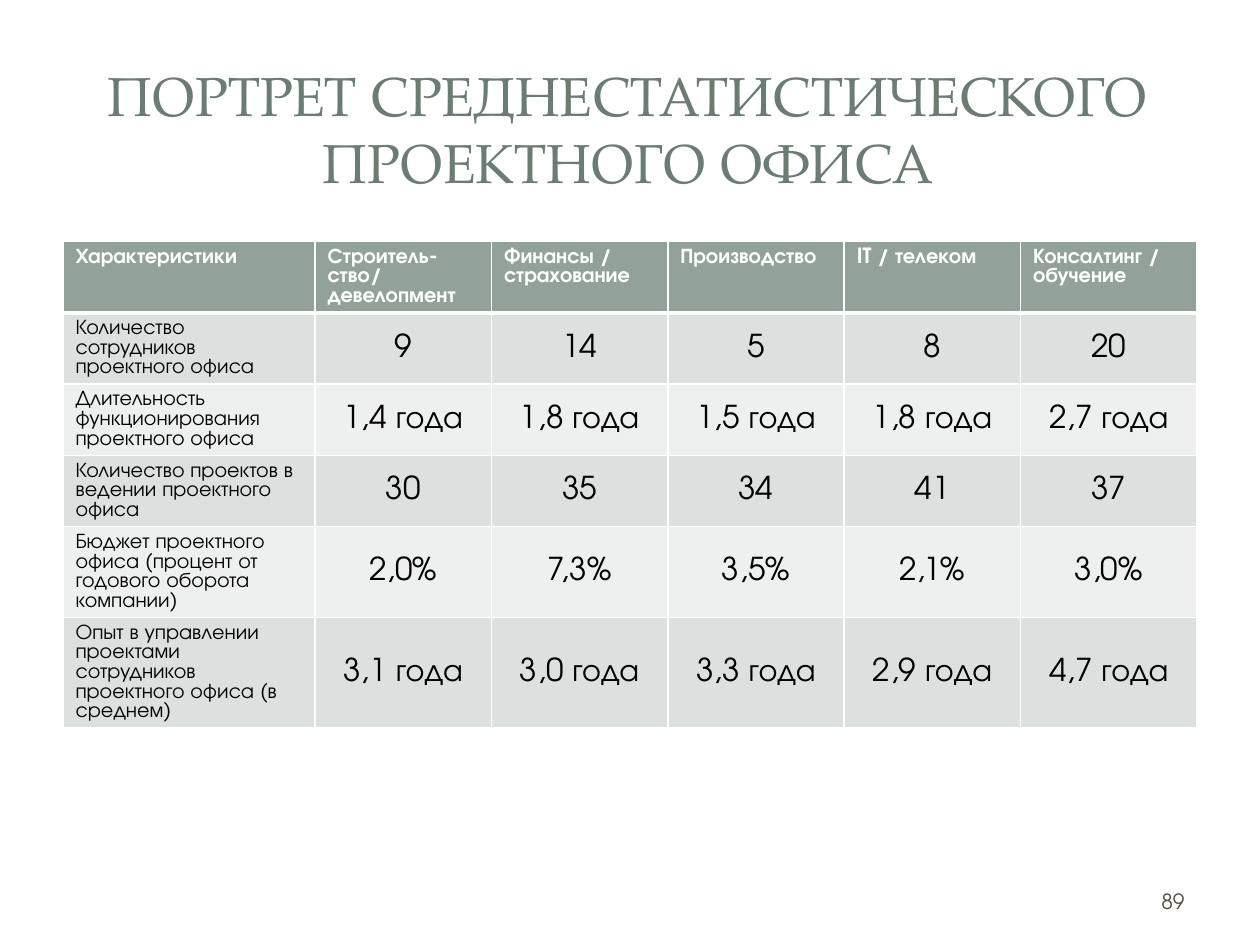
import pptx
import pptx.util
import pptx.dml.color
import pptx.enum.shapes
import pptx.enum.text
import pptx.oxml
import pptx.oxml.ns
from dataclasses import dataclass
from lxml import etree

Cm, Pt = pptx.util.Cm, pptx.util.Pt
Align = pptx.enum.text.PP_ALIGN
Anchor = pptx.enum.text.MSO_ANCHOR
Shape = pptx.enum.shapes.MSO_SHAPE


@dataclass(frozen=True)
class Theme:
    serif: str = "TeX Gyre Pagella"
    sans: str = "TeX Gyre Adventor"
    title: str = "6B7D72"
    head: str = "93A299"
    bands: tuple = ("DCE0DE", "EEF0EF")
    white: str = "FFFFFF"
    ink: str = "000000"
    brown: str = "564B3C"
    big: float = 31.5
    mid: float = 18
    small: float = 12


THEME = Theme()

HEADS = ["Характеристики", "Строитель-ство/ девелопмент",
         "Финансы / страхование", "Производство", "IT / телеком",
         "Консалтинг / обучение"]
ROWS = [
    ["Количество сотрудников проектного офиса",
     "9", "14", "5", "8", "20"],
    ["Длительность функционирования проектного офиса",
     "1,4 года", "1,8 года", "1,5 года", "1,8 года", "2,7 года"],
    ["Количество проектов в ведении проектного офиса",
     "30", "35", "34", "41", "37"],
    ["Бюджет проектного офиса (процент от годового оборота компании)",
     "2,0%", "7,3%", "3,5%", "2,1%", "3,0%"],
    ["Опыт в управлении проектами сотрудников проектного офиса (в среднем)",
     "3,1 года", "3,0 года", "3,3 года", "2,9 года", "4,7 года"],
]
# Kind, left, top, width, height in cm, and opacity in percent
PANELS = [
    (Shape.ROUNDED_RECTANGLE, 0.25, 0.28, 24.89, 18.52, 100),
    (Shape.RECTANGLE, 0.76, 0.76, 23.88, 3.68, 83),
    (Shape.RECTANGLE, 1.04, 1.04, 23.29, 3.1, 100),
]


def paint(hue):
    return pptx.dml.color.RGBColor.from_string(hue)


def write(frame, text, size, hue, face=THEME.sans, bold=False,
          align=Align.LEFT):
    frame.word_wrap = True
    para = frame.paragraphs[0]
    para.alignment = align
    run = para.add_run()
    run.text = text
    font = run.font
    font.name, font.size, font.bold = face, Pt(size), bold
    font.color.rgb = paint(hue)


def edge(cell, base):
    """Draw white cell borders; base is the width of the bottom one."""
    props = cell._tc.get_or_add_tcPr()
    for side, width in (("L", 1), ("R", 1), ("T", 1), ("B", base)):
        line = etree.SubElement(props, pptx.oxml.ns.qn("a:ln" + side),
                                w=str(Pt(width)))
        fill = etree.SubElement(line, pptx.oxml.ns.qn("a:solidFill"))
        etree.SubElement(fill, pptx.oxml.ns.qn("a:srgbClr"), val=THEME.white)


def add_panel(slide, kind, left, top, width, height, solid):
    panel = slide.shapes.add_shape(
        kind, Cm(left), Cm(top), Cm(width), Cm(height))
    if kind == Shape.ROUNDED_RECTANGLE:
        panel.adjustments[0] = 0.02
    panel.shadow.inherit = False
    panel.line.fill.background()
    panel.fill.solid()
    panel.fill.fore_color.rgb = paint(THEME.white)
    if solid < 100:
        hue = panel._element.spPr.find(".//" + pptx.oxml.ns.qn("a:srgbClr"))
        etree.SubElement(hue, pptx.oxml.ns.qn("a:alpha"),
                         val=str(solid * 1000))
    # Keep the panel behind the title
    slide.shapes.title._element.addprevious(panel._element)


def add_title(slide, text):
    title = slide.shapes.title
    title.left, title.top = Cm(1.19), Cm(1.13)
    title.width, title.height = Cm(22.93), Cm(2.9)
    frame = title.text_frame
    frame.auto_size = pptx.enum.text.MSO_AUTO_SIZE.NONE
    frame.vertical_anchor = Anchor.MIDDLE
    write(frame, text, THEME.big, THEME.title, THEME.serif,
          align=Align.CENTER)


def add_grid(slide, heads, rows):
    # Rows start low and grow to fit their text
    table = slide.shapes.add_table(
        len(rows) + 1, len(heads), Cm(1.27), Cm(4.87),
        Cm(22.86), Cm(6.24)).table
    for col, column in enumerate(table.columns):
        column.width = Cm(3.556 if col else 5.08)
    for row, texts in enumerate([heads] + rows):
        for col, text in enumerate(texts):
            cell = table.cell(row, col)
            edge(cell, 1 if row else 3)
            cell.fill.solid()
            if row == 0:
                cell.fill.fore_color.rgb = paint(THEME.head)
                write(cell.text_frame, text, THEME.small, THEME.white,
                      bold=True)
                continue
            cell.fill.fore_color.rgb = paint(THEME.bands[(row - 1) % 2])
            if col == 0:
                write(cell.text_frame, text, THEME.small, THEME.ink)
            else:
                cell.vertical_anchor = Anchor.MIDDLE
                write(cell.text_frame, text, THEME.mid, THEME.ink,
                      align=Align.CENTER)


def add_page(slide, text):
    box = slide.shapes.add_textbox(Cm(18.21), Cm(17.65), Cm(5.92), Cm(1.02))
    box.text_frame.vertical_anchor = Anchor.MIDDLE
    write(box.text_frame, text, THEME.small, THEME.brown, align=Align.RIGHT)


def main():
    deck = pptx.Presentation()
    deck.slide_width, deck.slide_height = Cm(25.4), Cm(19.05)
    slide = deck.slides.add_slide(deck.slide_layouts[5])

    # Heading on its panels
    for panel in PANELS:
        add_panel(slide, *panel)
    add_title(slide, "ПОРТРЕТ СРЕДНЕСТАТИСТИЧЕСКОГО ПРОЕКТНОГО ОФИСА")
    # Figures by industry
    add_grid(slide, HEADS, ROWS)
    # Page number
    add_page(slide, "89")

    deck.save("out.pptx")


if __name__ == "__main__":
    main()
